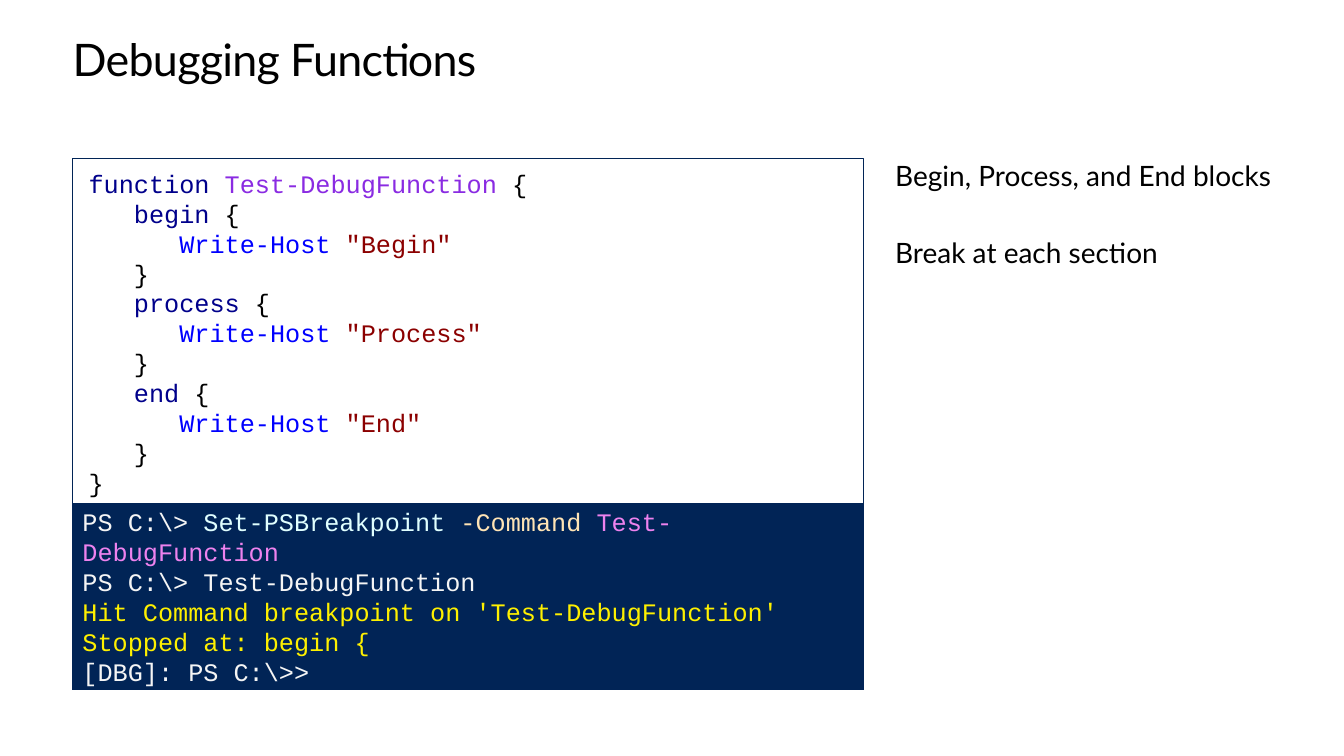
from pptx import Presentation
from pptx.dml.color import RGBColor
from pptx.enum.shapes import MSO_SHAPE as SHAPE
from pptx.enum.text import MSO_ANCHOR as ANCHOR, MSO_AUTO_SIZE as AUTO, PP_ALIGN as ALIGN
from pptx.util import Pt

LEFT, TOP, BOTTOM = 51.8, 113, 492.5
PANEL_W = 565.2
TERMINAL_TOP = 360
INDENT = 32.4  # three characters of 18 pt Courier New

NAVY, BLACK = "012456", "000000"
KEYWORD, NAME, COMMAND, STRING = "00008B", "8A2BE2", "0000FF", "8B0000"
PROMPT, CMDLET, PARAMETER, ARGUMENT, NOTICE = "F5F5F5", "E0FFFF", "FFE4B5", "EE82EE", "FEF000"


def rgb(value):
    return RGBColor.from_string(value)


class Deck:
    """Holds the text style and the current slide."""

    font, code_font = "Lato", "Courier New"
    code_size, code_pitch = 18, 21.4

    def __init__(self, prs):
        self.s = prs.slides.add_slide(prs.slide_layouts[5])

    def frame(self, tf, insets):
        tf.word_wrap = True
        tf.auto_size = AUTO.NONE
        tf.vertical_anchor = ANCHOR.TOP
        tf.margin_left, tf.margin_top, tf.margin_right, tf.margin_bottom = map(Pt, insets)
        return tf

    def format(self, r, font, size, color):
        r.font.name, r.font.size = font, Pt(size)
        r.font.color.rgb = rgb(color)

    def title(self, text, x, y, w, h):
        sp = self.s.shapes.title
        sp.left, sp.top, sp.width, sp.height = map(Pt, (x, y, w, h))
        tf = self.frame(sp.text_frame, (0, 0, 0, 0))
        tf.text = text
        p = tf.paragraphs[0]
        p.alignment, p.line_spacing = ALIGN.LEFT, Pt(36.2)
        r = p.runs[0]
        self.format(r, self.font, 32, BLACK)
        r.font._element.set("spc", "-50")

    def notes(self, lines, x, y, w, h, gap):
        sp = self.s.shapes.add_textbox(*map(Pt, (x, y, w, h)))
        tf = self.frame(sp.text_frame, (0, 0, 0, 0))
        tf.text = "\n".join(lines)
        for i, p in enumerate(tf.paragraphs):
            p.space_before = Pt(gap if i else 0)
            self.format(p.runs[0], self.font, 20, BLACK)

    def code(self, lines, x, y, w, h, insets, fill=None):
        """Each line is (indent level, [(text, colour), ...])."""
        sp = self.s.shapes.add_shape(SHAPE.RECTANGLE, *map(Pt, (x, y, w, h)))
        sp.shadow.inherit = False
        if fill:
            sp.fill.solid()
            sp.fill.fore_color.rgb = rgb(fill)
        else:
            sp.fill.background()
        sp.line.color.rgb = rgb(NAVY)
        sp.line.width = Pt(0.75)
        tf = self.frame(sp.text_frame, insets)
        for i, (level, parts) in enumerate(lines):
            p = tf.add_paragraph() if i else tf.paragraphs[0]
            p.alignment, p.line_spacing = ALIGN.LEFT, Pt(self.code_pitch)
            p._p.get_or_add_pPr().set("marL", str(Pt(level * INDENT)))
            for text, color in parts:
                r = p.add_run()
                r.text = text
                self.format(r, self.code_font, self.code_size, color)


def block(keyword):
    """Lines of one begin, process or end block."""
    return [
        (1, [(keyword, KEYWORD), (" {", BLACK)]),
        (2, [("Write-Host ", COMMAND), (f'"{keyword.title()}"', STRING)]),
        (1, [("}", BLACK)]),
    ]


def main():
    prs = Presentation()
    prs.slide_width, prs.slide_height = Pt(960), Pt(540)
    deck = Deck(prs)

    # Title and side remarks
    deck.title("Debugging Functions", LEFT, 25.2, 856.8, 36)
    deck.notes(["Begin, Process, and End blocks", "Break at each section"],
               639.4, TOP, 270, 380, gap=31.2)

    # Terminal session
    session = [
        [("PS C:\\> ", PROMPT), ("Set-PSBreakpoint ", CMDLET),
         ("-Command ", PARAMETER), ("Test-DebugFunction", ARGUMENT)],
        [("PS C:\\> Test-DebugFunction", PROMPT)],
        [("Hit Command breakpoint on 'Test-DebugFunction' Stopped at: begin {", NOTICE)],
        [("[DBG]: PS C:\\>>", PROMPT)],
    ]
    deck.code([(0, parts) for parts in session], LEFT, TERMINAL_TOP, PANEL_W,
              BOTTOM - TERMINAL_TOP, (7.2, 2, 7.2, 0), NAVY)

    # Function listing, framed around the terminal
    listing = [(0, [("function ", KEYWORD), ("Test-DebugFunction", NAME), (" {", BLACK)])]
    for keyword in ("begin", "process", "end"):
        listing += block(keyword)
    listing.append((0, [("}", BLACK)]))
    deck.code(listing, LEFT, TOP, PANEL_W, BOTTOM - TOP, (11.5, 7.2, 11.5, 7.2))

    prs.save("out.pptx")


if __name__ == "__main__":
    main()
